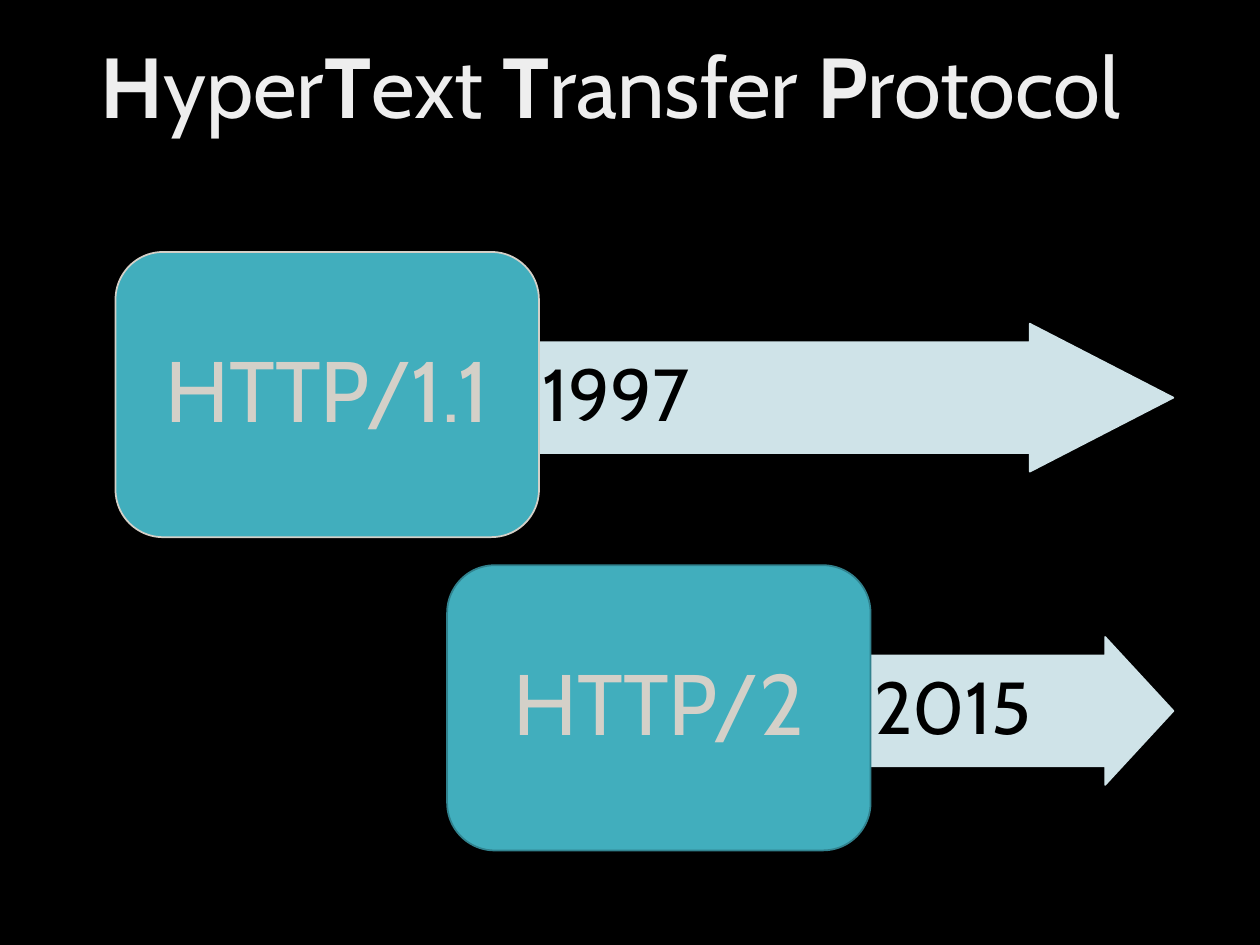
from pptx import Presentation
from pptx.dml.color import RGBColor
from pptx.enum.shapes import MSO_SHAPE
from pptx.enum.text import MSO_ANCHOR, MSO_AUTO_SIZE, PP_ALIGN
from pptx.util import Pt

BLACK = RGBColor(0x00, 0x00, 0x00)
WHITE = RGBColor(0xEE, 0xEE, 0xEE)
TEAL = RGBColor(0x41, 0xAE, 0xBD)
DARK_TEAL = RGBColor(0x31, 0x82, 0x8E)
PALE = RGBColor(0xCF, 0xE3, 0xE8)
STONE = RGBColor(0xD4, 0xD0, 0xC8)

FONT = "Cabin"
BOX_W, BOX_H = 242, 163
ARROW_H, ARROW_DROP, ARROW_END = 84.5, 41, 670.5
SHAFT_H = 63.4


def add_run(p, text, size, color, bold=False):
    r = p.add_run()
    r.text = text
    r.font.name = FONT
    r.font.size = Pt(size)
    r.font.bold = bold
    r.font.color.rgb = color


def add_title(s, words):
    sp = s.shapes.title
    sp.left, sp.top, sp.width, sp.height = Pt(50), Pt(29), Pt(620), Pt(104)
    tf = sp.text_frame
    tf.auto_size = MSO_AUTO_SIZE.NONE
    tf.vertical_anchor = MSO_ANCHOR.MIDDLE
    p = tf.paragraphs[0]
    p.alignment = PP_ALIGN.LEFT
    p.line_spacing = 0.9
    p.font.size = Pt(48.6)
    for initial, rest in words:
        add_run(p, initial, 48.6, WHITE, True)
        add_run(p, rest, 48.6, WHITE)
    p.add_line_break()


def add_block(s, kind, x, y, w, h, adjustments, fill, line, text, size, color, align, margins):
    sp = s.shapes.add_shape(kind, Pt(x), Pt(y), Pt(w), Pt(h))
    for i, value in enumerate(adjustments):
        sp.adjustments[i] = value
    sp.shadow.inherit = False
    sp.fill.solid()
    sp.fill.fore_color.rgb = fill
    sp.line.color.rgb = line
    sp.line.width = Pt(1)
    tf = sp.text_frame
    tf.word_wrap = True
    tf.vertical_anchor = MSO_ANCHOR.MIDDLE
    tf.margin_left = tf.margin_right = Pt(margins)
    tf.margin_top = tf.margin_bottom = Pt(0)
    p = tf.paragraphs[0]
    p.alignment = align
    p.line_spacing = 0.9
    add_run(p, text, size, color)


def add_version(s, x, y, name, year, outline, head):
    start = x + BOX_W
    add_block(s, MSO_SHAPE.RIGHT_ARROW, start, y + ARROW_DROP, ARROW_END - start, ARROW_H,
              (SHAFT_H / ARROW_H, head / ARROW_H), PALE, PALE,
              year, 42, BLACK, PP_ALIGN.LEFT, 2)
    add_block(s, MSO_SHAPE.ROUNDED_RECTANGLE, x, y, BOX_W, BOX_H,
              (0.167,), TEAL, outline, name, 49, STONE, PP_ALIGN.CENTER, 12)


def main():
    prs = Presentation()
    prs.slide_width, prs.slide_height = Pt(720), Pt(540)
    s = prs.slides.add_slide(prs.slide_layouts[5])
    s.background.fill.solid()
    s.background.fill.fore_color.rgb = BLACK
    add_title(s, [("H", "yper"), ("T", "ext "), ("T", "ransfer "), ("P", "rotocol")])
    add_version(s, 66, 144, "HTTP/1.1", "1997", STONE, 82)
    add_version(s, 255.5, 323, "HTTP/2", "2015", DARK_TEAL, 39)
    prs.save("out.pptx")


if __name__ == "__main__":
    main()
